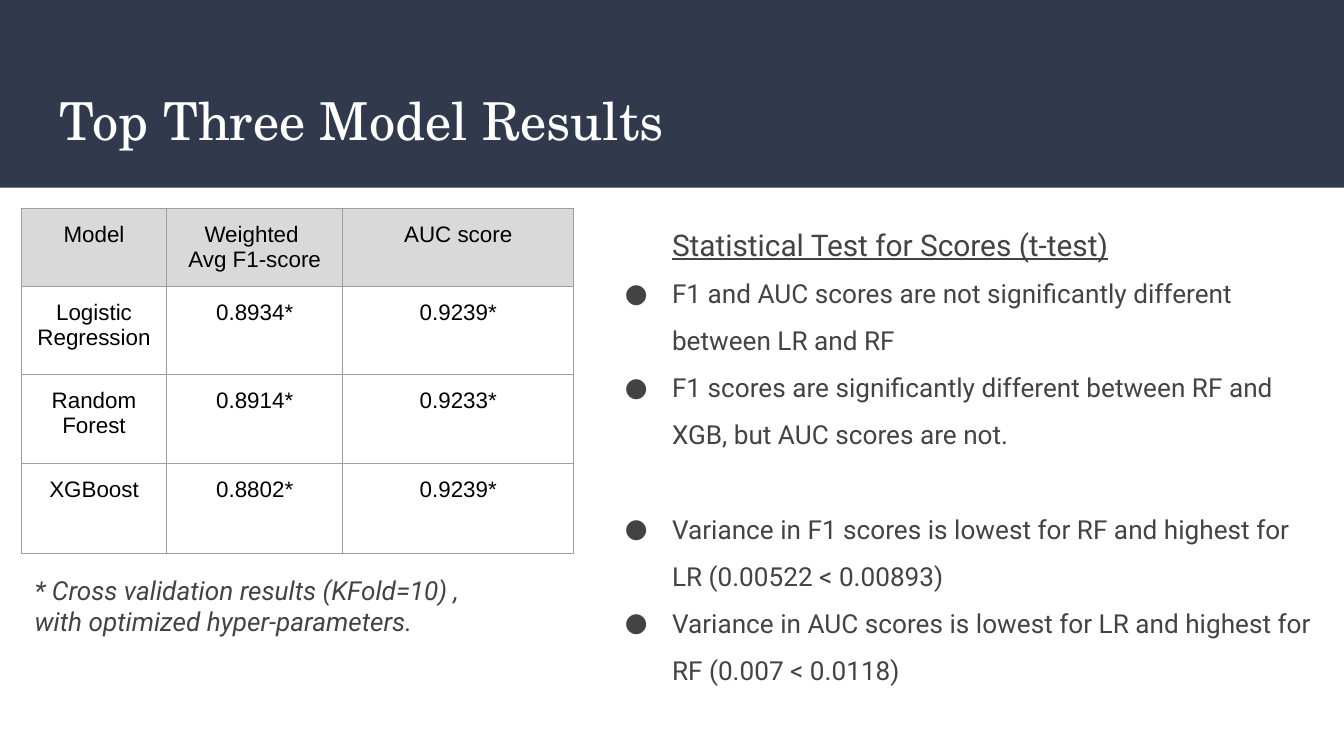
"""Build a slide with model scores and the notes on their t-test."""
from dataclasses import dataclass

from lxml import etree
from pptx import Presentation
from pptx.dml.color import RGBColor
from pptx.enum import shapes, text
from pptx.oxml import ns
from pptx.util import Pt


@dataclass(frozen=True)
class Theme:
    """Colours, fonts and type sizes of the slide."""
    navy: str = "31394D"
    white: str = "FFFFFF"
    black: str = "000000"
    ink: str = "434343"
    head: str = "D9D9D9"
    rule: str = "9E9E9E"
    serif: str = "TeX Gyre Schola"
    sans: str = "Roboto"
    grid: str = "Arial"
    title: int = 28
    lead: int = 16
    body: int = 14
    cell: int = 12


T = Theme()
INSET = 7.2
SCORES = [
    ["Model", "Weighted \nAvg F1-score", "AUC score"],
    ["Logistic Regression", "0.8934*", "0.9239*"],
    ["Random Forest", "0.8914*", "0.9233*"],
    ["XGBoost", "0.8802*", "0.9239*"],
]
FOOTNOTE = ["* Cross validation results (KFold=10) ,", "with optimized hyper-parameters."]
HEADING = "Statistical Test for Scores (t-test)"
FINDINGS = [
    ("F1 and AUC scores are not significantly different between LR and RF", 0),
    ("F1 scores are significantly different between RF and XGB, but AUC scores are not.", 0),
    ("Variance in F1 scores is lowest for RF and highest for LR (0.00522 < 0.00893)", 25.2),
    ("Variance in AUC scores is lowest for LR and highest for RF (0.007 < 0.0118)", 0),
]


def add_xml(parent, tag, **attrs):
    """Add a DrawingML child element and return it."""
    return etree.SubElement(parent, ns.qn(f"a:{tag}"), attrs)


def place(sp, x, y, w, h):
    """Move and size a shape."""
    sp.left, sp.top, sp.width, sp.height = Pt(x), Pt(y), Pt(w), Pt(h)


def fill(obj, color):
    """Give a shape or cell a solid fill."""
    obj.fill.solid()
    obj.fill.fore_color.rgb = RGBColor.from_string(color)


def frame(sp, anchor=text.MSO_ANCHOR.TOP):
    """Return the wrapped, evenly inset text frame of a shape."""
    tf = sp.text_frame
    tf.word_wrap = True
    tf.auto_size = text.MSO_AUTO_SIZE.NONE
    tf.vertical_anchor = anchor
    tf.margin_left = tf.margin_top = tf.margin_right = tf.margin_bottom = Pt(INSET)
    return tf


def write(tf, content, *, size, font=T.sans, color=T.ink, italic=False, underline=False,
          align=text.PP_ALIGN.LEFT, spacing=1.0, before=0):
    """Write one formatted paragraph, after any that the frame holds."""
    p = tf.add_paragraph() if tf.text else tf.paragraphs[0]
    p.alignment, p.line_spacing = align, spacing
    p.space_before, p.space_after = Pt(before), Pt(0)
    r = p.add_run()
    r.text = content
    r.font.size, r.font.name = Pt(size), font
    r.font.bold, r.font.italic, r.font.underline = False, italic, underline
    r.font.color.rgb = RGBColor.from_string(color)
    return p


def indent(p, left, first=0, bullet=None):
    """Set the indents and bullet of a paragraph."""
    pPr = p._p.get_or_add_pPr()
    pPr.set("marL", str(Pt(left)))
    pPr.set("indent", str(Pt(first)))
    if bullet:
        add_xml(add_xml(pPr, "buClr"), "srgbClr", val=T.ink)
        add_xml(pPr, "buFont", typeface=T.sans)
        add_xml(pPr, "buChar", char=bullet)
    else:
        add_xml(pPr, "buNone")


def border(cell):
    """Draw the four borders of a cell."""
    tcPr = cell._tc.get_or_add_tcPr()
    for side in ("lnL", "lnR", "lnT", "lnB"):
        ln = add_xml(tcPr, side, w=str(Pt(0.75)))
        add_xml(add_xml(ln, "solidFill"), "srgbClr", val=T.rule)


def title_band(s, x, y, w, h):
    """Place the dark band with the slide title on it."""
    band = s.shapes.add_shape(shapes.MSO_SHAPE.RECTANGLE, Pt(x), Pt(y), Pt(w), Pt(h))
    band.shadow.inherit = False
    fill(band, T.navy)
    band.line.fill.background()
    s.shapes.element.insert(2, band.element)
    place(s.shapes.title, x + 24.5, y + 39.6, w - 49, 49)
    tf = frame(s.shapes.title, text.MSO_ANCHOR.MIDDLE)
    write(tf, "Top Three Model Results", size=T.title, font=T.serif, color=T.white)


def score_table(s, x, y, w, h):
    """Place the table of scores."""
    tbl = s.shapes.add_table(len(SCORES), len(SCORES[0]), Pt(x), Pt(y), Pt(w), Pt(h)).table
    for col, share in zip(tbl.columns, (0.263, 0.319, 0.418)):
        col.width = Pt(round(w * share, 1))
    for row, share in zip(tbl.rows, (0.226, 0.256, 0.257, 0.261)):
        row.height = Pt(round(h * share, 1))
    for i, line in enumerate(SCORES):
        for j, value in enumerate(line):
            cell = tbl.cell(i, j)
            border(cell)
            fill(cell, T.white if i else T.head)
            cell.margin_left = cell.margin_right = Pt(INSET)
            cell.margin_top = cell.margin_bottom = Pt(INSET)
            for part in value.split("\n"):
                write(cell.text_frame, part, size=T.cell, font=T.grid, color=T.black,
                      align=text.PP_ALIGN.CENTER)


def footnote(s, x, y, w, h):
    """Place the note below the table."""
    tf = frame(s.shapes.add_textbox(Pt(x), Pt(y), Pt(w), Pt(h)))
    for line in FOOTNOTE:
        write(tf, line, size=T.body, italic=True)


def findings(s, x, y, w, h):
    """Place the heading and bullets of the statistical test."""
    sp = s.placeholders[1]
    place(sp, x, y, w, h)
    fill(sp, T.white)
    tf = frame(sp)
    indent(write(tf, HEADING, size=T.lead, underline=True, spacing=1.5), 36)
    for line, before in FINDINGS:
        p = write(tf, line, size=T.body, spacing=1.5, before=before)
        indent(p, 36, -25.2, "●")


def main():
    """Build and save the presentation."""
    prs = Presentation()
    prs.slide_width, prs.slide_height = Pt(720), Pt(405)
    s = prs.slides.add_slide(prs.slide_layouts[1])
    title_band(s, 0, 0, 720, 100.5)
    score_table(s, 11.5, 111.6, 296, 185)
    footnote(s, 11.5, 300.5, 296, 88)
    findings(s, 316.8, 104.4, 398.2, 283.7)
    prs.save("out.pptx")


if __name__ == "__main__":
    main()
